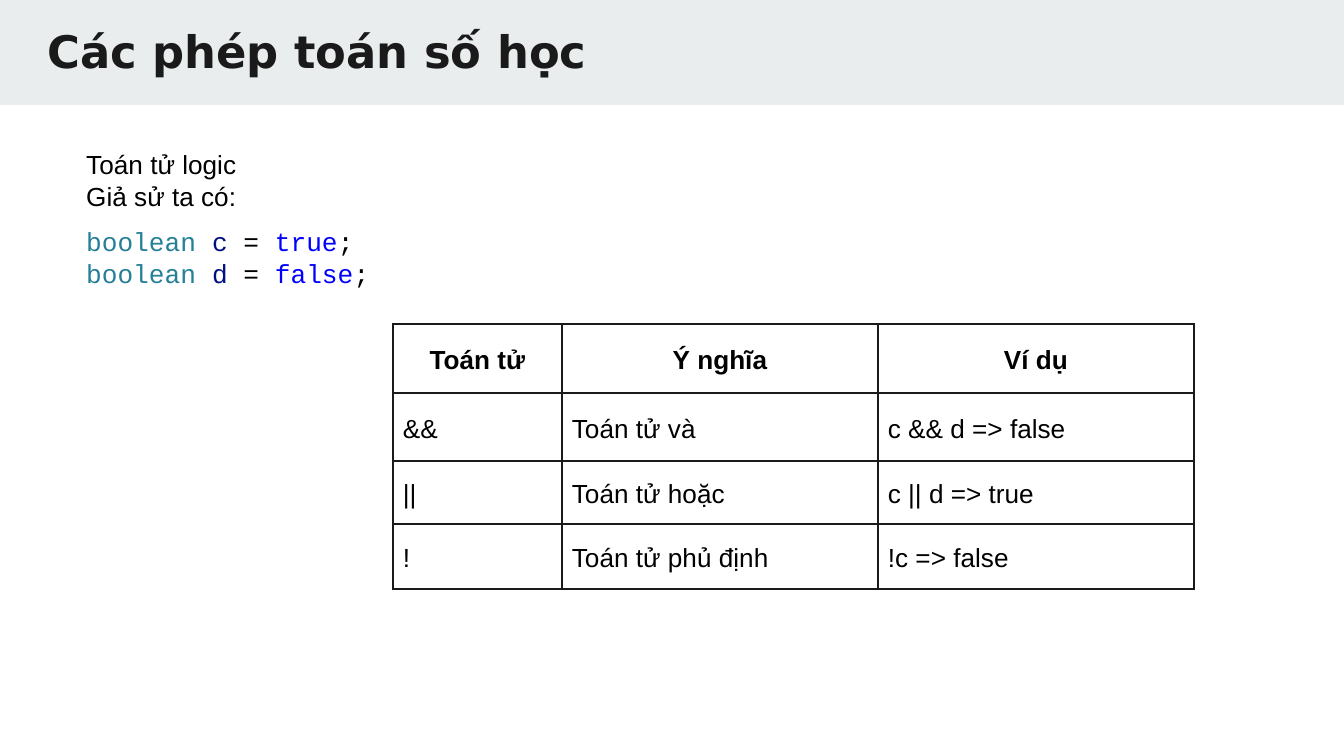
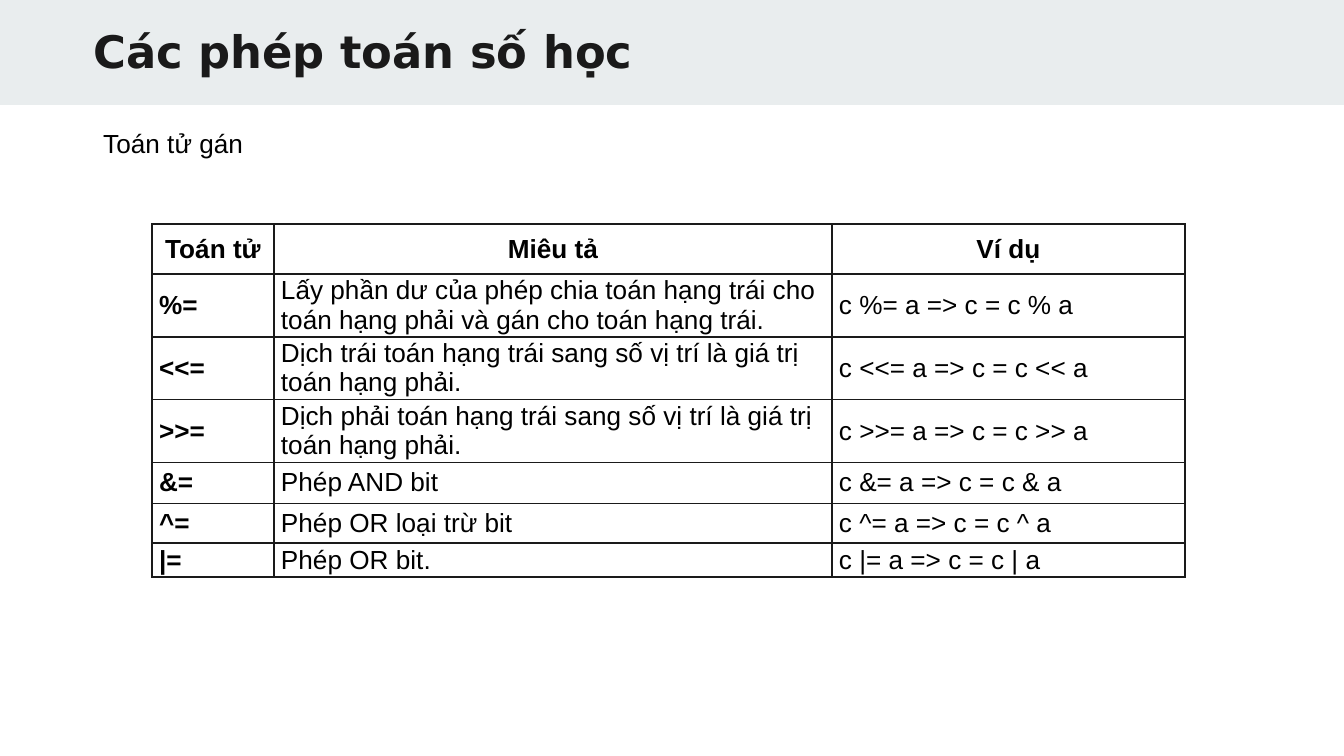
from lxml.etree import SubElement
from pptx import Presentation
from pptx.dml.color import RGBColor
from pptx.enum.shapes import MSO_SHAPE
from pptx.enum.text import MSO_ANCHOR, PP_ALIGN
from pptx.oxml.ns import qn
from pptx.util import Pt

SCALE = 914400 / 134.4
PAGE_WIDTH, PAGE_HEIGHT = 1344, 756
BODY_FONT, CODE_FONT, TITLE_FONT = "Arial", "Courier New", "DejaVu Sans"
BODY_SIZE, TITLE_SIZE = 14, 24
TITLE = "Các phép toán số học"
COLORS = {
    "band": "E9EDEE",
    "ink": "1A1A1A",
    "text": "000000",
    "type": "267F99",
    "name": "001080",
    "value": "0000FF",
}

LOGIC_ROWS = [
    ("Toán tử", "Ý nghĩa", "Ví dụ"),
    ("&&", "Toán tử và", "c && d => false"),
    ("||", "Toán tử hoặc", "c || d => true"),
    ("!", "Toán tử phủ định", "!c => false"),
]
ASSIGN_ROWS = [
    ("Toán tử", "Miêu tả", "Ví dụ"),
    ("%=", "Lấy phần dư của phép chia toán hạng trái cho toán hạng phải "
           "và gán cho toán hạng trái.", "c %= a => c = c % a"),
    ("<<=", "Dịch trái toán hạng trái sang số vị trí là giá trị toán hạng phải.",
     "c <<= a => c = c << a"),
    (">>=", "Dịch phải toán hạng trái sang số vị trí là giá trị toán hạng phải.",
     "c >>= a => c = c >> a"),
    ("&=", "Phép AND bit", "c &= a => c = c & a"),
    ("^=", "Phép OR loại trừ bit", "c ^= a => c = c ^ a"),
    ("|=", "Phép OR bit.", "c |= a => c = c | a"),
]


def px(length):
    return round(length * SCALE)


def style_span(span, color="text", font=BODY_FONT, size=BODY_SIZE, bold=False):
    span.font.name = font
    span.font.size = Pt(size)
    span.font.bold = bold
    span.font.color.rgb = RGBColor.from_string(COLORS[color])


def add_text(page, box, text, **style):
    frame = page.shapes.add_textbox(*map(px, box)).text_frame
    frame.word_wrap = True
    frame.text = text
    for para in frame.paragraphs:
        for span in para.runs:
            style_span(span, **style)
    return frame


def add_header(page, left):
    band = page.shapes.add_shape(MSO_SHAPE.RECTANGLE, 0, 0, px(PAGE_WIDTH), px(105))
    band.shadow.inherit = False
    band.fill.solid()
    band.fill.fore_color.rgb = RGBColor.from_string(COLORS["band"])
    band.line.fill.background()
    frame = add_text(page, (left, 11, 1160, 98), TITLE,
                     color="ink", font=TITLE_FONT, size=TITLE_SIZE, bold=True)
    frame.margin_top = frame.margin_bottom = px(13)


def add_code(page, box, declarations):
    frame = add_text(page, box, "\n".join("" for _ in declarations))
    for para, (name, value) in zip(frame.paragraphs, declarations):
        for text, color in (("boolean ", "type"), (name, "name"), (" = ", "text"),
                            (value, "value"), (";", "text")):
            span = para.add_run()
            span.text = text
            style_span(span, color, CODE_FONT)


def add_borders(cell):
    properties = cell._tc.get_or_add_tcPr()
    for side in ("a:lnL", "a:lnR", "a:lnT", "a:lnB"):
        line = SubElement(properties, qn(side), w=str(Pt(1)))
        fill = SubElement(line, qn("a:solidFill"))
        SubElement(fill, qn("a:srgbClr"), val=COLORS["ink"])


def fill_cell(cell, text, header, bold, margin, spacing, after):
    add_borders(cell)
    cell.fill.background()
    cell.vertical_anchor = MSO_ANCHOR.MIDDLE
    cell.margin_left = cell.margin_right = px(margin)
    cell.margin_top = cell.margin_bottom = 0
    cell.text_frame.text = text
    para = cell.text_frame.paragraphs[0]
    para.alignment = PP_ALIGN.CENTER if header else PP_ALIGN.LEFT
    para.line_spacing = spacing
    para.space_after = Pt(after)
    style_span(para.runs[0], bold=bold)


def add_operator_table(page, origin, widths, heights, rows, margin,
                       spacing=1.0, after=0, bold_operators=False):
    box = (*origin, sum(widths), sum(heights))
    table = page.shapes.add_table(len(rows), len(widths), *map(px, box)).table
    table.first_row = table.horz_banding = False
    for column, width in zip(table.columns, widths):
        column.width = px(width)
    for row, height in zip(table.rows, heights):
        row.height = px(height)
    for row_index, texts in enumerate(rows):
        for column_index, text in enumerate(texts):
            header = row_index == 0
            bold = header or (bold_operators and column_index == 0)
            fill_cell(table.cell(row_index, column_index), text, header, bold,
                      margin, spacing, after)


def build_logic_page(page):
    add_header(page, 34)
    add_text(page, (73, 142, 1138, 109), "Toán tử logic\nGiả sử ta có:")
    add_operator_table(page, (393, 324), (169, 316, 316), (69, 68, 63, 65),
                       LOGIC_ROWS, margin=10, spacing=1.15, after=10)
    add_code(page, (73, 219, 672, 77), [("c", "true"), ("d", "false")])


def build_assignment_page(page):
    add_header(page, 80)
    add_operator_table(page, (152, 224), (122, 558, 353),
                       (50, 50, 47, 46, 41, 40, 34),
                       ASSIGN_ROWS, margin=7, bold_operators=True)
    add_text(page, (90, 121, 1138, 46), "Toán tử gán")


def main():
    deck = Presentation()
    deck.slide_width = px(PAGE_WIDTH)
    deck.slide_height = px(PAGE_HEIGHT)
    for build in (build_logic_page, build_assignment_page):
        build(deck.slides.add_slide(deck.slide_layouts[6]))
    deck.save("out.pptx")


if __name__ == "__main__":
    main()
